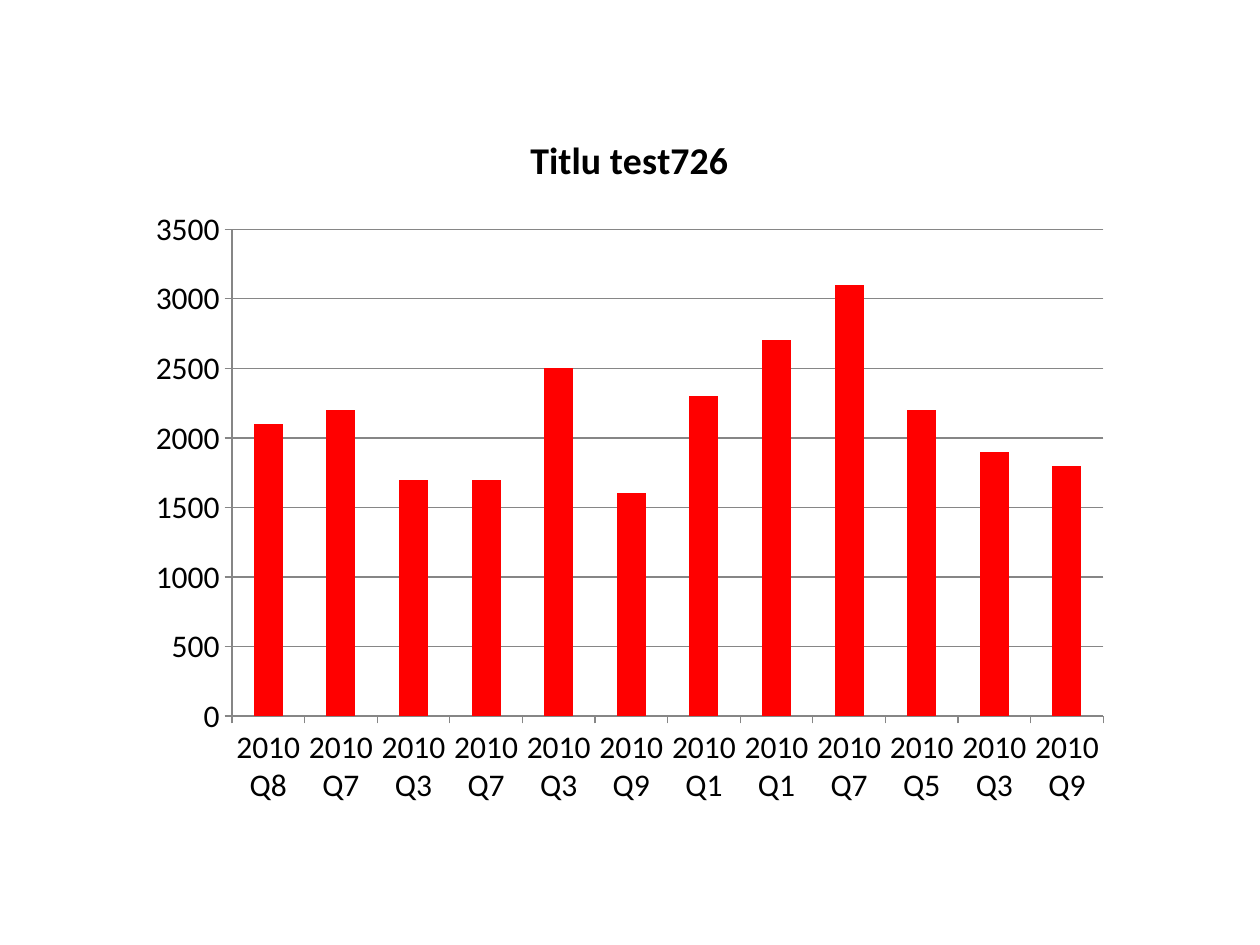
"""Build a slide with one column chart of quarterly values."""
from dataclasses import dataclass

from pptx import Presentation
from pptx.chart.data import CategoryChartData
from pptx.dml.color import RGBColor
from pptx.enum.chart import XL_CHART_TYPE, XL_TICK_MARK
from pptx.util import Emu, Pt

COLUMN = XL_CHART_TYPE.COLUMN_CLUSTERED
OUTSIDE, NO_TICK = XL_TICK_MARK.OUTSIDE, XL_TICK_MARK.NONE

TITLE = "Titlu test726"
QUARTERS = [
    ("2010 Q8", 2100), ("2010 Q7", 2200), ("2010 Q3", 1700),
    ("2010 Q7", 1700), ("2010 Q3", 2500), ("2010 Q9", 1600),
    ("2010 Q1", 2300), ("2010 Q1", 2700), ("2010 Q7", 3100),
    ("2010 Q5", 2200), ("2010 Q3", 1900), ("2010 Q9", 1800),
]
AXIS_MAXIMUM, AXIS_STEP = 3500, 500
SLIDE_SIZE = (1260, 945)
CHART_BOX = (136, 105, 987, 714)
BLANK_LAYOUT = 6


@dataclass(frozen=True)
class Theme:
    font: str = "Calibri"
    text: RGBColor = RGBColor(0, 0, 0)
    bar: RGBColor = RGBColor(255, 0, 0)
    line: RGBColor = RGBColor(0x86, 0x86, 0x86)
    label_size: float = 18
    title_size: float = 21.6
    line_width: float = 0.75


THEME = Theme()


def px(length):
    return Emu(length * 914400 // 126)


def style_font(font, size, bold=False):
    font.name = THEME.font
    font.size = Pt(size)
    font.bold = bold
    font.color.rgb = THEME.text


def style_line(line):
    line.color.rgb = THEME.line
    line.width = Pt(THEME.line_width)


def add_quarter_chart(slide):
    data = CategoryChartData()
    data.categories = [quarter for quarter, _ in QUARTERS]
    data.add_series(TITLE, [value for _, value in QUARTERS])
    chart = slide.shapes.add_chart(COLUMN, *map(px, CHART_BOX), data).chart
    style_font(chart.font, THEME.label_size)
    chart.has_legend = False

    chart.has_title = True
    chart.chart_title.include_in_layout = False
    text_frame = chart.chart_title.text_frame
    text_frame.text = TITLE
    style_font(text_frame.paragraphs[0].runs[0].font, THEME.title_size, bold=True)

    plot = chart.plots[0]
    plot.gap_width = 150
    plot.vary_by_categories = False
    fill = plot.series[0].format.fill
    fill.solid()
    fill.fore_color.rgb = THEME.bar

    for axis in (chart.category_axis, chart.value_axis):
        axis.major_tick_mark = OUTSIDE
        axis.minor_tick_mark = NO_TICK
        style_line(axis.format.line)
    value_axis = chart.value_axis
    value_axis.minimum_scale = 0
    value_axis.maximum_scale = AXIS_MAXIMUM
    value_axis.major_unit = AXIS_STEP
    value_axis.has_major_gridlines = True
    style_line(value_axis.major_gridlines.format.line)


def main():
    presentation = Presentation()
    presentation.slide_width, presentation.slide_height = map(px, SLIDE_SIZE)
    slide = presentation.slides.add_slide(presentation.slide_layouts[BLANK_LAYOUT])
    add_quarter_chart(slide)
    presentation.save("out.pptx")


if __name__ == "__main__":
    main()
